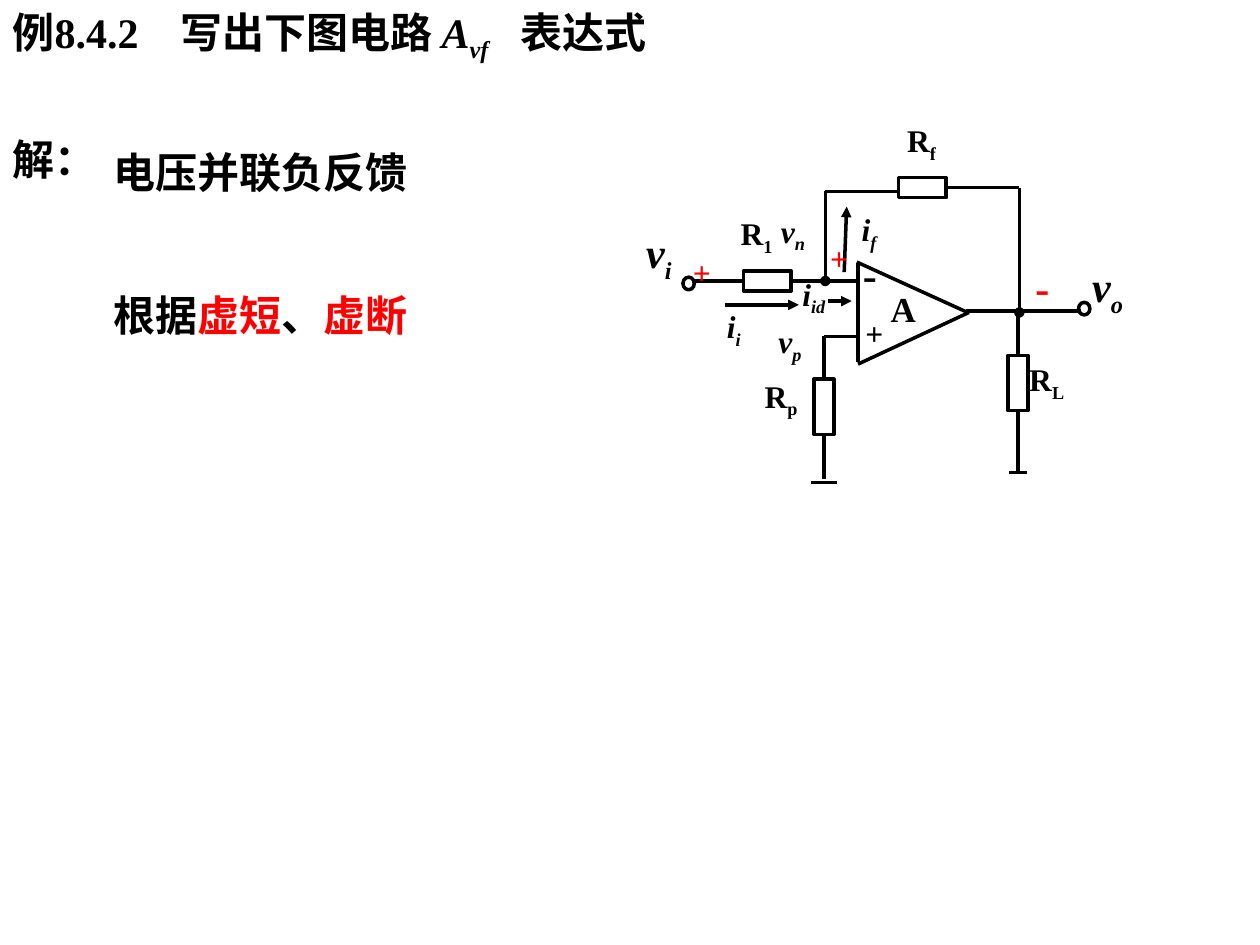
from lxml import etree
from pptx import Presentation
from pptx.dml.color import RGBColor
from pptx.enum.shapes import MSO_CONNECTOR, MSO_SHAPE
from pptx.enum.text import MSO_ANCHOR, MSO_AUTO_SIZE, PP_ALIGN
from pptx.oxml.ns import qn
from pptx.util import Inches, Pt

STRAIGHT = MSO_CONNECTOR.STRAIGHT
RECT, OVAL = MSO_SHAPE.RECTANGLE, MSO_SHAPE.OVAL
TOP, LEFT, BOTTOM, RIGHT = range(4)
BLACK, RED = "000000", "FF0000"
SERIF, CJK = "Times New Roman", "Noto Sans CJK SC"
CELL = 0.1  # circuit grid, inches


def rgb(value):
    return RGBColor.from_string(value)


def set_font(p, size, color=BLACK, name=SERIF, italic=None):
    f = p.font
    f.size, f.bold, f.italic, f.name = Pt(size), True, italic, name
    f.color.rgb = rgb(color)
    etree.SubElement(f._element, qn("a:ea")).set("typeface", CJK)


def add_run(p, text, color=None, italic=None, sub=False):
    r = p.add_run()
    r.text = text
    if color:
        r.font.color.rgb = rgb(color)
    if italic is not None:
        r.font.italic = italic
    if sub:
        r._r.get_or_add_rPr().set("baseline", "-25000")


def add_text(slide, box):
    """Add an empty wrapped text box and return its first paragraph."""
    tf = slide.shapes.add_textbox(*map(Inches, box)).text_frame
    tf.word_wrap = True
    tf.auto_size = MSO_AUTO_SIZE.SHAPE_TO_FIT_TEXT
    return tf.paragraphs[0]


def add_title(slide, box):
    sp = slide.shapes.title
    sp.left, sp.top, sp.width, sp.height = map(Inches, box)
    tf = sp.text_frame
    tf.vertical_anchor = MSO_ANCHOR.TOP
    tf.auto_size = MSO_AUTO_SIZE.NONE
    p = tf.paragraphs[0]
    p.alignment = PP_ALIGN.LEFT
    tabs = etree.SubElement(p._p.get_or_add_pPr(), qn("a:tabLst"))
    for pos in (1.33, 4.03):
        etree.SubElement(tabs, qn("a:tab"), pos=str(Inches(pos)), algn="l")
    set_font(p, 24)
    add_run(p, "例8.4.2\t写出下图电路 ")
    add_run(p, "A", italic=True)
    add_run(p, "vf", italic=True, sub=True)
    add_run(p, "\t表达式")


def add_solution(slide, box):
    x, y, w, h = box
    p = add_text(slide, (x, y, 0.27 * w, 0.32 * h))
    p.line_spacing = 1.2
    set_font(p, 24, name=CJK)
    add_run(p, "解：")
    p = add_text(slide, (x + 0.19 * w, y + 0.1 * h, 0.7 * w, 0.27 * h))
    set_font(p, 24)
    add_run(p, "电压并联负反馈")
    p = add_text(slide, (x + 0.19 * w, y + 0.7 * h, 0.81 * w, 0.3 * h))
    p.line_spacing = 1.1
    set_font(p, 24, name=CJK)
    for text, color in (("根据", None), ("虚短", RED), ("、", None), ("虚断", RED)):
        add_run(p, text, color)


def add_circuit(slide, origin):
    """Draw the amplifier on a grid of CELL squares starting at origin."""
    x0, y0 = origin

    def at(col, row):
        return Inches(x0 + col * CELL), Inches(y0 + row * CELL)

    def part(kind, col, row, cols, rows):
        sp = slide.shapes.add_shape(
            kind, *at(col, row), Inches(cols * CELL), Inches(rows * CELL))
        sp.shadow.inherit = False
        sp.fill.background()
        sp.line.color.rgb, sp.line.width = rgb(BLACK), Pt(2)
        return sp

    def wire(start, end, head=None, tail=None, joins=()):
        c = slide.shapes.add_connector(STRAIGHT, *at(*start), *at(*end))
        c.line.color.rgb, c.line.width = rgb(BLACK), Pt(2)
        ln = c.line._get_or_add_ln()
        for tag, kind in (("a:headEnd", head), ("a:tailEnd", tail)):
            if kind:
                etree.SubElement(ln, qn(tag), type=kind)
        etree.SubElement(c._element.spPr, qn("a:effectLst"))
        for is_start, sp, side in joins:
            (c.begin_connect if is_start else c.end_connect)(sp, side)

    def label(col, row, cols, text, sub="", size=18, color=BLACK, italic=None):
        p = add_text(slide, (x0 + col * CELL, y0 + row * CELL,
                             cols * CELL, size / 60 + 0.1))
        set_font(p, size, color, italic=italic)
        add_run(p, text)
        if sub:
            add_run(p, sub, sub=True)

    # Operational amplifier
    for start, end in (((18.1, 11.9), (18.1, 19.7)),
                       ((18, 11.8), (26.8, 15.8)),
                       ((18.1, 19.9), (26.9, 15.8))):
        wire(start, end)

    # Resistors, output load and terminals
    r1 = part(RECT, 9, 12.5, 3.8, 1.6)
    rf = part(RECT, 21.3, 5.1, 3.8, 1.6)
    rp = part(RECT, 14.6, 21.1, 1.6, 4.4)
    rl = part(RECT, 30, 19.2, 1.6, 4.4)
    for col, row in ((4.2, 13), (35.6, 15)):
        part(OVAL, col, row, 0.9, 1)

    # Input and feedback wiring
    wire((12.8, 13.3), (18, 13.3), joins=[(True, r1, RIGHT)])
    wire((9, 13.3), (4.9, 13.3), joins=[(True, r1, LEFT)])
    wire((15.5, 13.3), (15.5, 6.2), head="oval")
    wire((15.5, 6.2), (21.2, 6.2))
    wire((25.1, 5.9), (30.9, 5.9), joins=[(True, rf, RIGHT)])
    wire((26.7, 15.7), (35.8, 15.7))
    wire((30.9, 5.9), (30.9, 15.8), tail="oval")

    # Branches to ground
    wire((18.1, 17.7), (15.4, 17.7))
    for sp, col, start, end in ((rp, 15.4, 17.7, 29), (rl, 30.8, 15.7, 28.6)):
        wire((col, start), (col, start), joins=[(False, sp, TOP)])
        wire((col, end), (col, end), joins=[(True, sp, BOTTOM)])
    wire((14.4, 29.3), (16.4, 29.3))
    wire((30.1, 28.5), (31.5, 28.5))

    # Current arrows
    for start, end in (((7.5, 15.2), (13.4, 15.2)),
                       ((15.7, 14.9), (17.6, 14.9)),
                       ((17, 12.6), (17.2, 7.4))):
        wire(start, end, tail="triangle")

    # Component names
    for col, row, cols, sub in ((7.8, 7.5, 6, "1"), (21, 0.1, 7.9, "f"),
                                (9.7, 20.4, 7.9, "p"), (30.7, 19.1, 7.9, "L")):
        label(col, row, cols, "R", sub)
    label(19.7, 13.3, 5.9, "A", size=20)

    # Voltages and currents
    for col, row, text, sub, size in (
            (0.3, 8.5, "v", "i", 24), (35.7, 11.2, "v", "o", 24),
            (11, 7.3, "v", "n", 18), (10.8, 16.1, "v", "p", 18),
            (6.7, 14.9, "i", "i", 18), (12.7, 12.3, "i", "id", 18),
            (17.4, 7.2, "i", "f", 18)):
        label(col, row, 7, text, sub, size, italic=True)

    # Polarity signs
    for col, row, text, size, color in (
            (17.5, 10.2, "-", 24, BLACK), (17.7, 15.4, "+", 18, BLACK),
            (4, 10.6, "+", 18, RED), (14.9, 9.5, "+", 18, RED),
            (31.2, 11.3, "-", 24, RED)):
        label(col, row, 4, text, size=size, color=color)


def main():
    prs = Presentation()
    prs.slide_width, prs.slide_height = Inches(10), Inches(7.5)
    slide = prs.slides.add_slide(prs.slide_layouts[5])
    add_title(slide, (0, 0, 8.11, 0.5))
    add_solution(slide, (0, 0.93, 4.23, 1.83))
    add_circuit(slide, (5, 0.9))
    prs.save("out.pptx")


if __name__ == "__main__":
    main()
